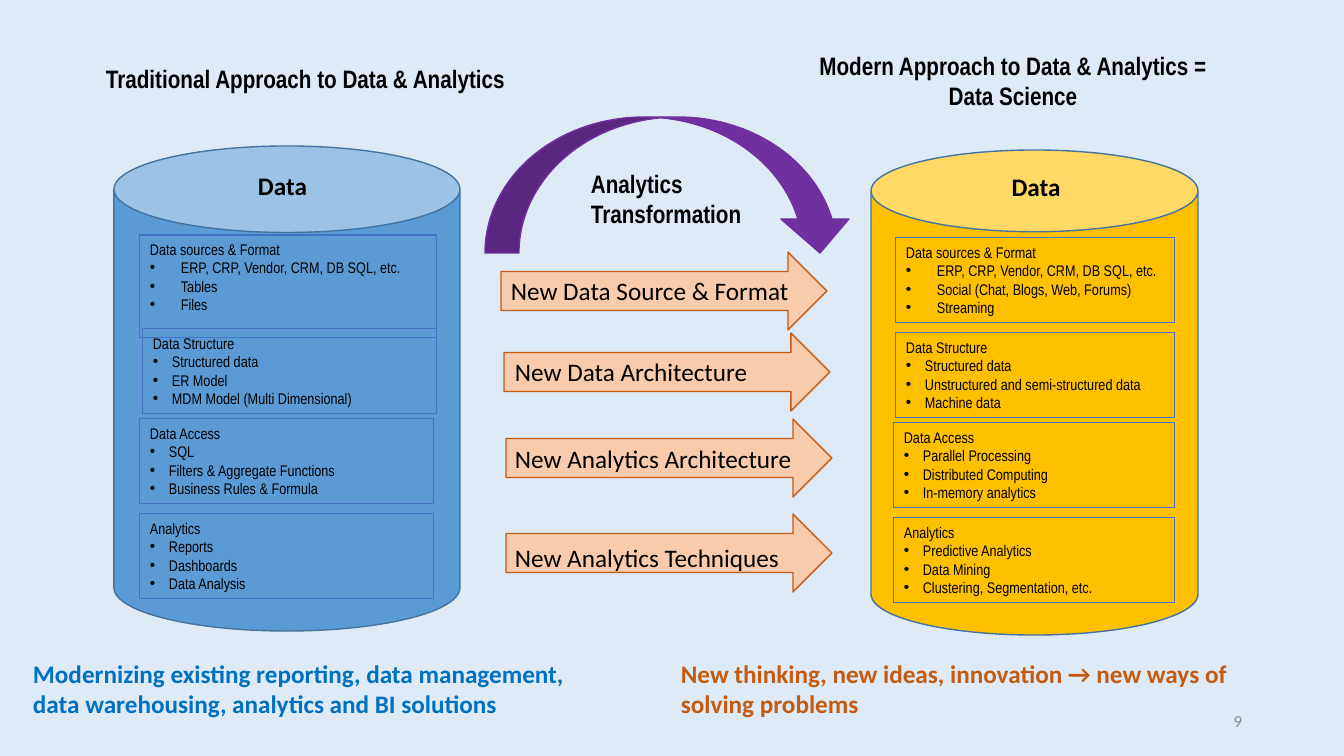
from lxml.etree import SubElement
from pptx import Presentation
from pptx.dml.color import RGBColor
from pptx.enum.shapes import MSO_SHAPE
from pptx.enum.text import MSO_ANCHOR, PP_ALIGN
from pptx.oxml.ns import qn
from pptx.util import Pt

PX = 12192000 // 1344
color = RGBColor.from_string

deck = Presentation()
deck.slide_width = 1344 * PX
deck.slide_height = 756 * PX
page = deck.slides.add_slide(deck.slide_layouts[6])
page.background.fill.solid()
page.background.fill.fore_color.rgb = color("DEEBF7")


def add_figure(kind, bounds, fill, line, weight=1):
    figure = page.shapes.add_shape(kind, *[value * PX for value in bounds])
    figure.shadow.inherit = False
    if fill:
        figure.fill.solid()
        figure.fill.fore_color.rgb = color(fill)
    else:
        figure.fill.background()
    figure.line.color.rgb = color(line)
    figure.line.width = Pt(weight)
    return figure


def add_label(bounds, text, font="Calibri", size=18, ink="000000", bold=True,
              align=PP_ALIGN.LEFT, wrap=True):
    box = page.shapes.add_textbox(*[value * PX for value in bounds])
    box.text_frame.word_wrap = wrap
    box.text_frame.text = text
    for para in box.text_frame.paragraphs:
        para.alignment = align
        para.font.name = font
        para.font.size = Pt(size)
        para.font.bold = bold
        para.font.color.rgb = color(ink)
    return box


cylinders = [
    ((114, 146, 346, 485), "5B9BD5", (193, 165, 179, 40), [
        ((140, 235, 297, 103), 31, "Data sources & Format",
         ["ERP, CRP, Vendor, CRM, DB SQL, etc.", "Tables", "Files"]),
        ((143, 329, 294, 85), 19, "Data Structure",
         ["Structured data", "ER Model", "MDM Model (Multi Dimensional)"]),
        ((140, 419, 294, 85), 19, "Data Access",
         ["SQL", "Filters & Aggregate Functions", "Business Rules & Formula"]),
        ((140, 514, 294, 85), 19, "Analytics",
         ["Reports", "Dashboards", "Data Analysis"]),
    ]),
    ((871, 150, 327, 485), "FFC000", (963, 166, 146, 40), [
        ((896, 238, 279, 85), 31, "Data sources & Format",
         ["ERP, CRP, Vendor, CRM, DB SQL, etc.", "Social (Chat, Blogs, Web, Forums)",
          "Streaming"]),
        ((896, 333, 279, 85), 19, "Data Structure",
         ["Structured data", "Unstructured and semi-structured data", "Machine data"]),
        ((894, 423, 281, 85), 19, "Data Access",
         ["Parallel Processing", "Distributed Computing", "In-memory analytics"]),
        ((894, 518, 281, 85), 19, "Analytics",
         ["Predictive Analytics", "Data Mining", "Clustering, Segmentation, etc."]),
    ]),
]
for can_bounds, can_fill, title_bounds, panels in cylinders:
    add_figure(MSO_SHAPE.CAN, can_bounds, can_fill, "43739E")
    for panel_bounds, indent, heading, items in panels:
        panel = add_figure(MSO_SHAPE.RECTANGLE, panel_bounds, None, "4472C4", 0.75)
        frame = panel.text_frame
        frame.word_wrap = True
        frame.vertical_anchor = MSO_ANCHOR.TOP
        frame.text = "\n".join([heading, *items])
        for index, para in enumerate(frame.paragraphs):
            para.alignment = PP_ALIGN.LEFT
            if index:
                properties = para._p.get_or_add_pPr()
                properties.set("marL", str(indent * PX))
                properties.set("indent", str(-indent * PX))
                SubElement(properties, qn("a:buFont"), typeface="Arial")
                SubElement(properties, qn("a:buChar"), char="•")
            para.font.name = "Arial Narrow"
            para.font.size = Pt(11)
            para.font.color.rgb = color("000000")
    add_label(title_bounds, "Data", align=PP_ALIGN.CENTER)

arrows = [
    ((501, 252, 326, 78), (501, 270, 312, 40), "New Data Source & Format"),
    ((504, 333, 326, 78), (505, 351, 255, 40), "New Data Architecture"),
    ((506, 419, 326, 78), (505, 438, 300, 40), "New Analytics Architecture"),
    ((506, 514, 326, 78), (505, 537, 287, 40), "New Analytics Techniques"),
]
for arrow_bounds, text_bounds, text in arrows:
    add_figure(MSO_SHAPE.RIGHT_ARROW, arrow_bounds, "F8CBAD", "C55A11")
    add_label(text_bounds, text, bold=False, wrap=False)

add_figure(MSO_SHAPE.CURVED_DOWN_ARROW, (485, 117, 369, 136), "7030A0", "7030A0")
add_label((581, 163, 281, 71), "Analytics\nTransformation", "Arial Narrow")
add_label((96, 58, 430, 40), "Traditional Approach to Data & Analytics", "Arial Narrow")
add_label((790, 45, 446, 71), "Modern Approach to Data & Analytics = Data Science",
          "Arial Narrow", align=PP_ALIGN.CENTER)
add_label((23, 653, 577, 71),
          "Modernizing existing reporting, data management, "
          "data warehousing, analytics and BI solutions", ink="0070C0")
add_label((671, 653, 598, 71),
          "New thinking, new ideas, innovation → new ways of solving problems",
          ink="C55A11")
number = add_label((950, 701, 302, 40), "9", size=12, ink="8C8C8C", bold=False,
                   align=PP_ALIGN.RIGHT)
number.text_frame.vertical_anchor = MSO_ANCHOR.MIDDLE

deck.save("out.pptx")
